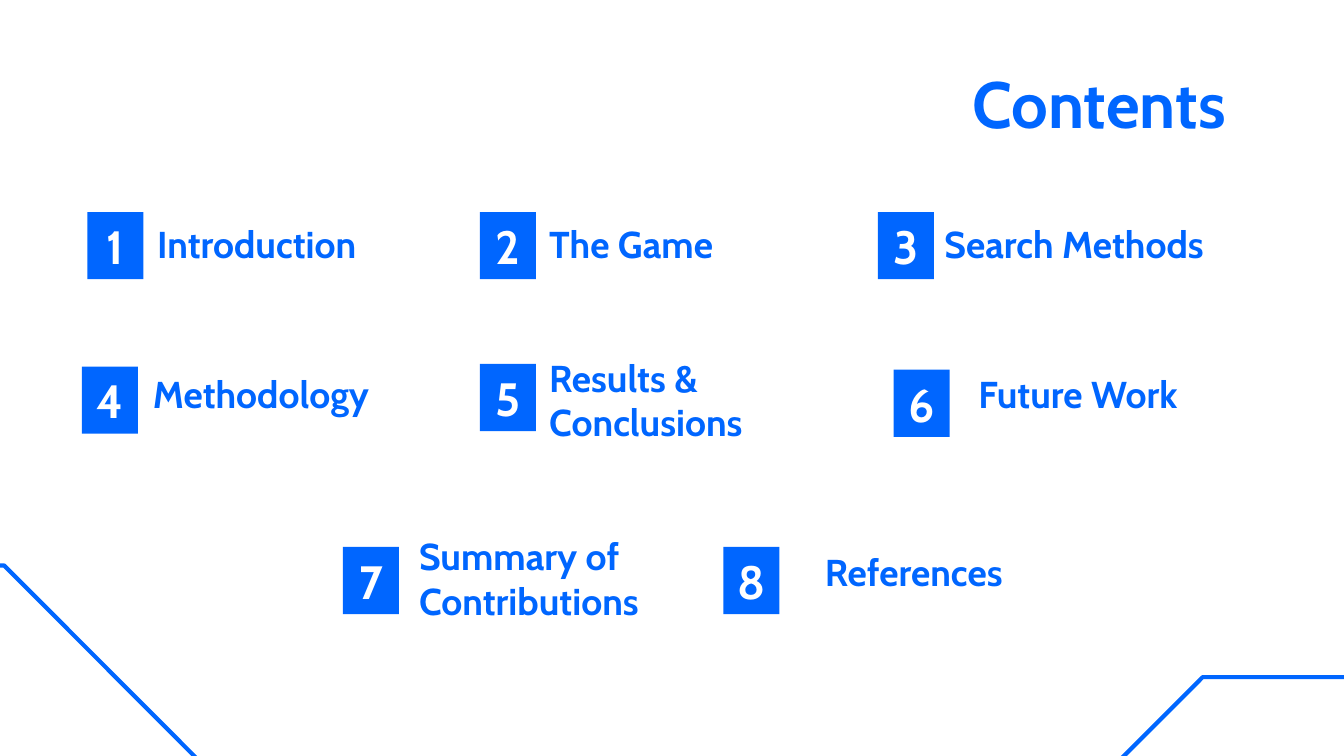
from dataclasses import dataclass

from pptx import Presentation
from pptx import util as u
from pptx.dml.color import RGBColor
from pptx.enum import shapes, text

Cm = u.Cm


@dataclass(frozen=True)
class Theme:
    blue: RGBColor = RGBColor(0x00, 0x66, 0xFF)
    white: RGBColor = RGBColor(0xFF, 0xFF, 0xFF)
    font: str = "Cabin"
    title: int = 35
    badge: int = 25
    label: int = 20
    line: float = 2.25


THEME = Theme()
BADGE_W, BADGE_H = 1.06, 1.27
LABEL_H = 1.06
INSET = 0.25

# Label, badge (left, top), label box (left, top, width), in cm
ITEMS = [
    ("Introduction", (1.65, 4.01), (2.72, 4.22, 4.6)),
    ("The Game", (9.07, 4.01), (10.13, 4.22, 4.6)),
    ("Search Methods", (16.59, 4.01), (17.6, 4.22, 5.87)),
    ("Methodology", (1.55, 6.93), (2.64, 7.06, 5.59)),
    ("Results & Conclusions", (9.07, 6.88), (10.13, 7.59, 4.6)),
    ("Future Work", (16.89, 6.99), (18.24, 7.06, 4.6)),
    ("Summary of Contributions", (6.48, 10.34), (7.67, 10.97, 4.98)),
    ("References", (13.67, 10.34), (15.34, 10.41, 4.6)),
]

# Corner outlines run past the slide's edges
LEFT = [(-1.5, 10.69), (-1.5, 20.6), (4.24, 14.86), (0.08, 10.69)]
RIGHT = [(21.67, 20.14), (27.18, 14.63), (27.18, 12.8),
         (22.73, 12.8), (16.92, 18.62), (16.21, 20.14)]


def write(shape, words, size, color=THEME.blue,
          align=text.PP_ALIGN.LEFT, anchor=text.MSO_ANCHOR.TOP):
    frame = shape.text_frame
    frame.word_wrap = True
    frame.auto_size = text.MSO_AUTO_SIZE.NONE
    frame.vertical_anchor = anchor
    frame.margin_left = frame.margin_right = Cm(INSET)
    frame.margin_top = frame.margin_bottom = Cm(INSET)
    para = frame.paragraphs[0]
    para.alignment = align
    run = para.add_run()
    run.text = words
    font = run.font
    font.name, font.size, font.bold = THEME.font, u.Pt(size), True
    font.color.rgb = color


def add_text(slide, words, box, size, **style):
    write(slide.shapes.add_textbox(*map(Cm, box)), words, size, **style)


def add_badge(slide, num, left, top):
    shape = slide.shapes.add_shape(
        shapes.MSO_SHAPE.RECTANGLE,
        Cm(left), Cm(top), Cm(BADGE_W), Cm(BADGE_H))
    shape.shadow.inherit = False
    shape.fill.solid()
    shape.fill.fore_color.rgb = THEME.blue
    shape.line.fill.background()
    write(shape, str(num), THEME.badge, color=THEME.white,
          align=text.PP_ALIGN.CENTER, anchor=text.MSO_ANCHOR.MIDDLE)


def add_corner(slide, points):
    start, *rest = [(Cm(x), Cm(y)) for x, y in points]
    pen = slide.shapes.build_freeform(*start)
    pen.add_line_segments(rest, close=True)
    shape = pen.convert_to_shape()
    shape.shadow.inherit = False
    shape.fill.background()
    shape.line.color.rgb = THEME.blue
    shape.line.width = u.Pt(THEME.line)


def main():
    deck = Presentation()
    deck.slide_width, deck.slide_height = Cm(25.4), Cm(14.29)
    slide = deck.slides.add_slide(deck.slide_layouts[6])

    for points in (RIGHT, LEFT):
        add_corner(slide, points)
    add_text(slide, "Contents", (7.37, 0.94, 16.05, 2.31), THEME.title,
             align=text.PP_ALIGN.RIGHT)
    for num, (words, spot, box) in enumerate(ITEMS, 1):
        add_badge(slide, num, *spot)
        add_text(slide, words, (*box, LABEL_H), THEME.label,
                 anchor=text.MSO_ANCHOR.BOTTOM)

    deck.save("out.pptx")


if __name__ == "__main__":
    main()
